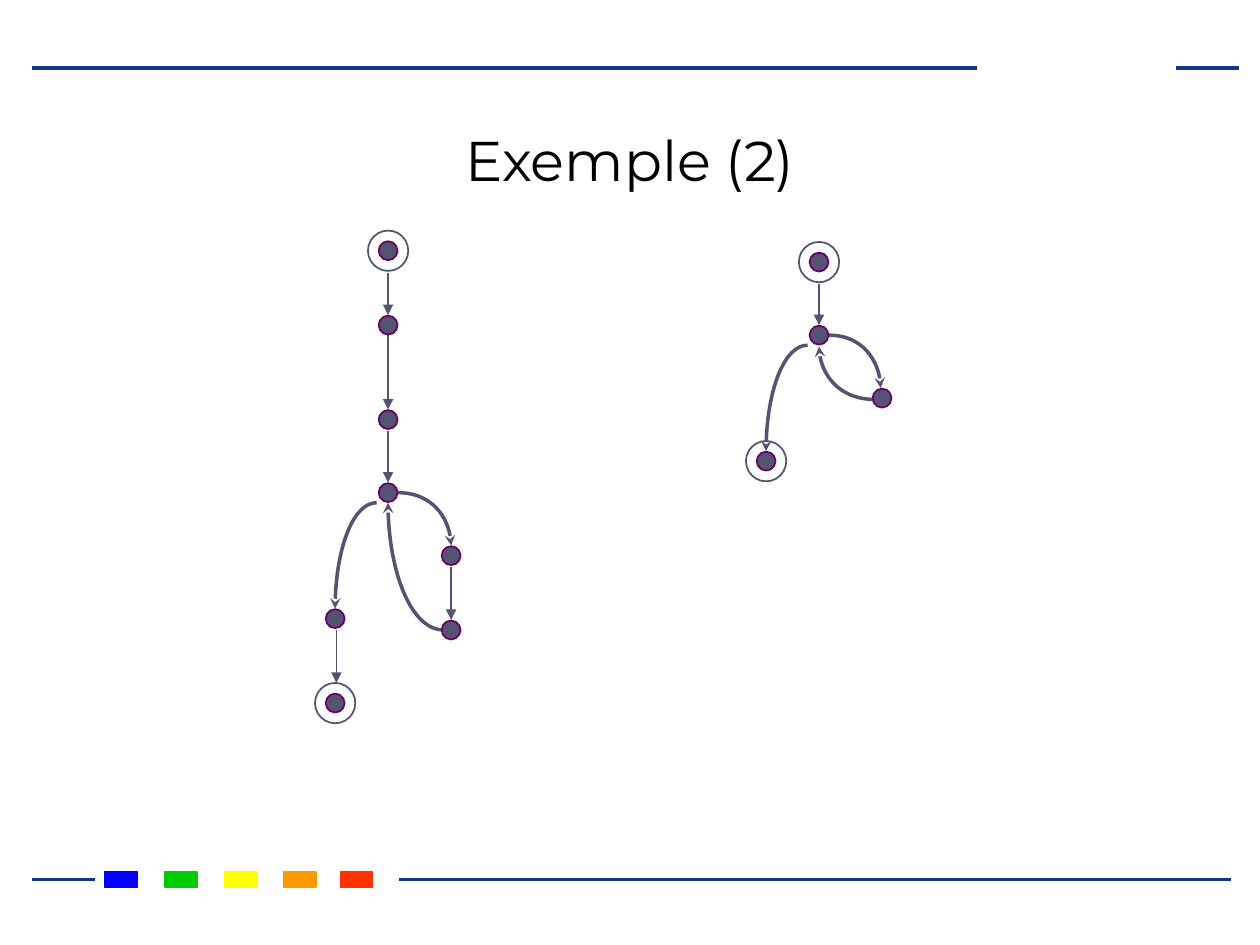
from typing import NamedTuple

from lxml import etree
from pptx import Presentation
from pptx import util as u
from pptx.dml.color import RGBColor
from pptx.enum import shapes, text
from pptx.oxml.ns import qn

NAVY = RGBColor(0x13, 0x36, 0x8D)
SLATE = RGBColor(0x54, 0x54, 0x72)
PLUM = RGBColor(0x66, 0x00, 0x66)
BLACK = RGBColor(0, 0, 0)
BLUE = RGBColor(0, 0, 0xFF)
GREEN = RGBColor(0, 0xCC, 0)
YELLOW = RGBColor(0xFF, 0xFF, 0)
ORANGE = RGBColor(0xFF, 0x99, 0)
RED = RGBColor(0xFF, 0x33, 0)

DOT, RING = 0.15, 0.32
BEND = 0.55  # control point ratio of a quarter ellipse


class Node(NamedTuple):
    x: float
    y: float
    ring: bool = False


class Edge(NamedTuple):
    x1: float
    y1: float
    x2: float
    y2: float


class Block(NamedTuple):
    x: float
    color: RGBColor


RULES = [Edge(0.25, 0.54, 7.75, 0.54), Edge(9.33, 0.54, 9.83, 0.54),
         Edge(0.25, 6.98, 0.75, 6.98), Edge(3.17, 6.98, 9.77, 6.98)]
BLOCKS = [Block(0.83, BLUE), Block(1.31, GREEN), Block(1.78, YELLOW),
          Block(2.25, ORANGE), Block(2.7, RED)]
NODES = [
    # left graph
    Node(3.08, 1.99, True), Node(3.08, 2.58), Node(3.08, 3.33),
    Node(3.08, 3.91), Node(3.58, 4.41), Node(3.58, 5),
    Node(2.66, 4.91), Node(2.66, 5.58, True),
    # right graph
    Node(6.5, 2.08, True), Node(6.5, 2.66), Node(7, 3.16),
    Node(6.08, 3.66, True),
]
ARROWS = [
    Edge(3.08, 2.17, 3.08, 2.5), Edge(3.08, 2.58, 3.08, 3.25),
    Edge(3.08, 3.42, 3.08, 3.83), Edge(3.58, 4.5, 3.58, 4.92),
    Edge(2.67, 5, 2.67, 5.42), Edge(6.5, 2.25, 6.5, 2.58),
]
CURVES = [
    Edge(3.16, 3.91, 3.58, 4.33), Edge(3.52, 5, 3.08, 3.99),
    Edge(2.99, 3.99, 2.66, 4.83),
    Edge(6.58, 2.66, 6.99, 3.08), Edge(6.94, 3.17, 6.5, 2.75),
    Edge(6.41, 2.74, 6.08, 3.58),
]


def place(item, x: float, y: float, w: float, h: float) -> None:
    item.left, item.top = u.Inches(x), u.Inches(y)
    item.width, item.height = u.Inches(w), u.Inches(h)


def stroke(item, color: RGBColor, width: float, tip: str = "") -> None:
    """Set the outline and, if named, the arrowhead at its end."""
    item.line.color.rgb = color
    item.line.width = u.Pt(width)
    if tip:
        ln = item._element.spPr.find(qn("a:ln"))
        etree.SubElement(ln, qn("a:tailEnd"), type=tip)


def line(slide, edge: Edge, color: RGBColor, width: float, tip: str = "") -> None:
    item = slide.shapes.add_connector(
        shapes.MSO_CONNECTOR.STRAIGHT, *(u.Inches(v) for v in edge))
    stroke(item, color, width, tip)
    etree.SubElement(item._element.spPr, qn("a:effectLst"))


def shape(parent, kind, box: tuple, edge: RGBColor, width: float, fill=None) -> None:
    item = parent.shapes.add_shape(kind, *(u.Inches(v) for v in box))
    item.shadow.inherit = False
    if fill is None:
        item.fill.background()
    else:
        item.fill.solid()
        item.fill.fore_color.rgb = fill
    stroke(item, edge, width)


def disc(parent, node: Node, size: float, edge: RGBColor, fill=None) -> None:
    box = (node.x - size / 2, node.y - size / 2, size, size)
    shape(parent, shapes.MSO_SHAPE.OVAL, box, edge, 1, fill)


def draw_node(slide, node: Node) -> None:
    parent = slide.shapes.add_group_shape() if node.ring else slide
    disc(parent, node, DOT, PLUM, SLATE)
    if node.ring:
        disc(parent, node, RING, SLATE)


def curve(slide, edge: Edge) -> None:
    """Draw a quarter ellipse that leaves sideways and arrives upright."""
    x1, y1, x2, y2 = edge
    points = [(x1 + BEND * (x2 - x1), y1), (x2, y2 - BEND * (y2 - y1)), (x2, y2)]
    form = slide.shapes.build_freeform(u.Inches(x1), u.Inches(y1))
    form.add_line_segments(
        [(u.Inches(x), u.Inches(y)) for x, y in points], close=False)
    item = form.convert_to_shape()
    # Join the three segments into one Bezier curve
    parts = list(item._element.iter(qn("a:lnTo")))
    bow = etree.SubElement(parts[0].getparent(), qn("a:cubicBezTo"))
    for part in parts:
        bow.append(part[0])
        part.getparent().remove(part)
    item.shadow.inherit = False
    item.fill.background()
    stroke(item, SLATE, 2, "stealth")


def write(item, words: str, *, size: float, color: RGBColor, font: str,
          align, anchor) -> None:
    frame = item.text_frame
    frame.word_wrap = True
    frame.vertical_anchor = anchor
    para = frame.paragraphs[0]
    para.alignment = align
    run = para.add_run()
    run.text = words
    run.font.size = u.Pt(size)
    run.font.name = font
    run.font.color.rgb = color


def main() -> None:
    deck = Presentation()
    deck.slide_width, deck.slide_height = u.Inches(10), u.Inches(7.5)
    slide = deck.slides.add_slide(deck.slide_layouts[5])
    for rule in RULES:
        line(slide, rule, NAVY, 2.25)
    for block in BLOCKS:
        shape(slide, shapes.MSO_SHAPE.RECTANGLE, (block.x, 6.92, 0.26, 0.12),
              block.color, 0.75, block.color)
    title = slide.shapes.title
    place(title, 0.75, 0.84, 8.5, 0.74)
    write(title, "Exemple (2)", size=32, color=BLACK, font="Montserrat",
          align=text.PP_ALIGN.CENTER, anchor=text.MSO_ANCHOR.BOTTOM)
    for bow in CURVES:
        curve(slide, bow)
    for arrow in ARROWS:
        line(slide, arrow, SLATE, 0.75, "triangle")
    for node in NODES:
        draw_node(slide, node)
    deck.save("out.pptx")


if __name__ == "__main__":
    main()
